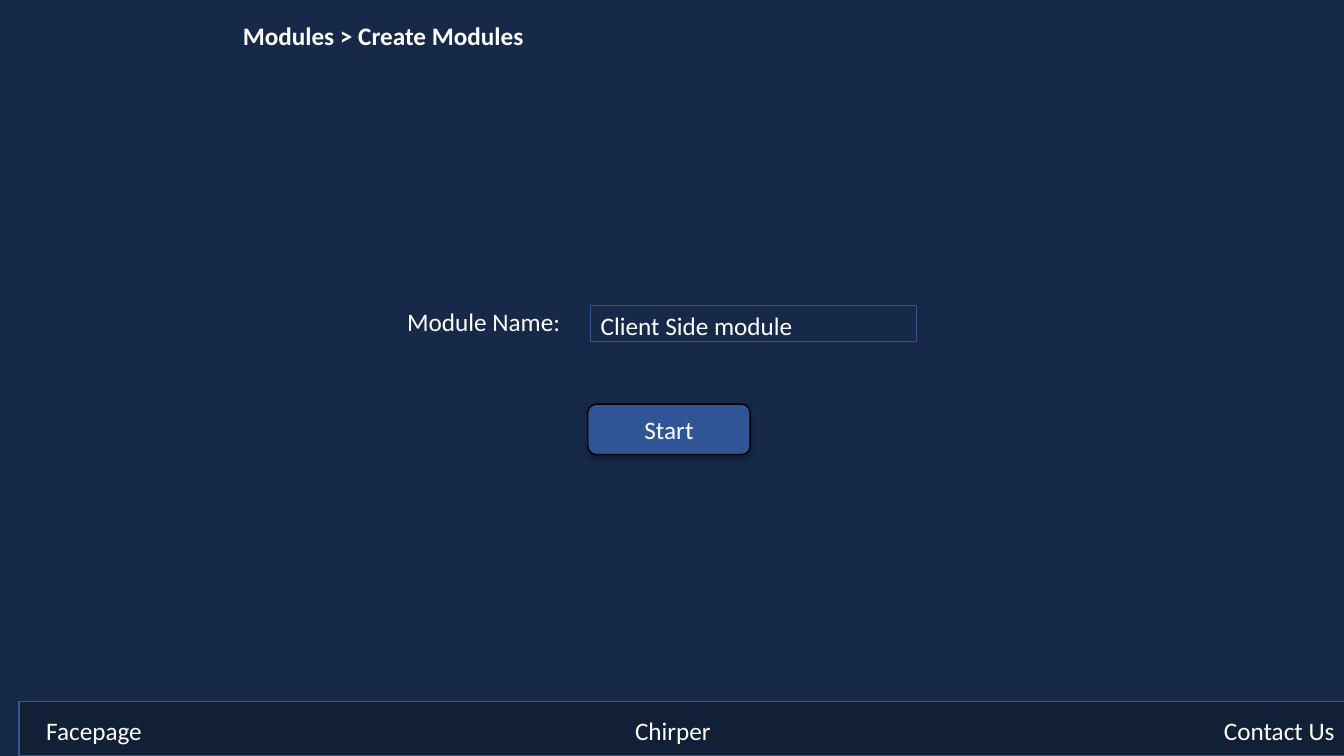
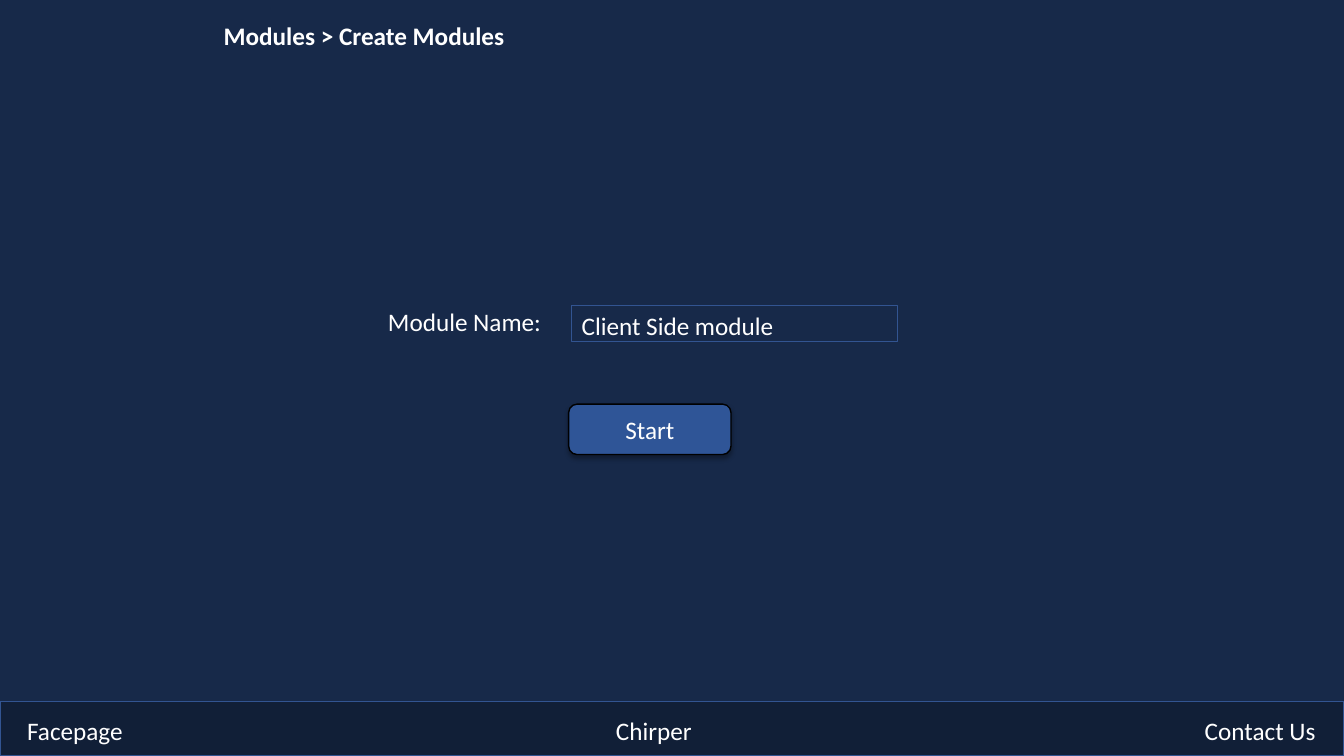
from dataclasses import dataclass

from lxml.etree import SubElement
from pptx import Presentation
from pptx.dml.color import RGBColor
from pptx.enum.shapes import MSO_SHAPE as Shape
from pptx.enum.text import MSO_ANCHOR as Anchor, MSO_AUTO_SIZE as AutoSize, PP_ALIGN as Align
from pptx.oxml.ns import qn
from pptx.shapes.autoshape import Shape as AutoShape
from pptx.shapes.shapetree import GroupShapes, SlideShapes
from pptx.slide import Slide
from pptx.util import Inches, Pt

Shapes = SlideShapes | GroupShapes

FONT = "Calibri"
TEXT_SIZE = 18
WHITE = "FFFFFF"
BLACK = "000000"
NAVY = "172949"
DARK_NAVY = "111F37"
BORDER_BLUE = "325491"
BUTTON_BLUE = "2F5597"

SLIDE_WIDTH = 13.33
SLIDE_HEIGHT = 7.5
FOOTER_HEIGHT = 0.54
FOOTER_LABELS = ("Facepage", "Chirper", "Contact Us")
FOOTER_STEP = 5.84
SLIDE_OFFSETS = (0.19, 0)


@dataclass(frozen=True)
class Area:
    left: float
    top: float
    width: float
    height: float

    def lengths(self, offset: float) -> tuple[Inches, Inches, Inches, Inches]:
        return (Inches(self.left + offset), Inches(self.top),
                Inches(self.width), Inches(self.height))


@dataclass(frozen=True)
class Label:
    text: str
    area: Area
    bold: bool = False
    anchor: Anchor = Anchor.TOP


FOOTER_BAND = Area(0, SLIDE_HEIGHT - FOOTER_HEIGHT, SLIDE_WIDTH, FOOTER_HEIGHT)
FOOTER_LINKS = [
    Label(text, Area(0.17 + index * FOOTER_STEP, 7.05, 1.31, 0.4))
    for index, text in enumerate(FOOTER_LABELS)
]
BREADCRUMB = Label("Modules > Create Modules", Area(2.12, 0.15, 4.1, 0.4), bold=True)
NAME_LABEL = Label("Module Name:", Area(3.75, 2.99, 2.26, 0.4), anchor=Anchor.MIDDLE)
NAME_FIELD = Area(5.67, 3.03, 3.23, 0.36)
NAME_VALUE = Label("Client Side module", Area(5.67, 3.03, 2.12, 0.4))
START_BUTTON = Area(5.64, 4.01, 1.61, 0.5)


def color(value: str) -> RGBColor:
    return RGBColor.from_string(value)


def write(box: AutoShape, text: str, bold: bool = False,
          align: Align = Align.LEFT, anchor: Anchor = Anchor.TOP) -> None:
    frame = box.text_frame
    frame.word_wrap = True
    frame.vertical_anchor = anchor
    para = frame.paragraphs[0]
    para.alignment = align
    span = para.add_run()
    span.text = text
    span.font.name = FONT
    span.font.size = Pt(TEXT_SIZE)
    span.font.bold = bold
    span.font.color.rgb = color(WHITE)


def add_label(shapes: Shapes, label: Label, offset: float) -> None:
    box = shapes.add_textbox(*label.area.lengths(offset))
    write(box, label.text, bold=label.bold, anchor=label.anchor)
    box.text_frame.auto_size = AutoSize.SHAPE_TO_FIT_TEXT


def add_panel(shapes: Shapes, area: Area, offset: float, line: str,
              fill: str | None = None, kind: Shape = Shape.RECTANGLE) -> AutoShape:
    panel = shapes.add_shape(kind, *area.lengths(offset))
    panel.shadow.inherit = False
    if fill is None:
        panel.fill.background()
    else:
        panel.fill.solid()
        panel.fill.fore_color.rgb = color(fill)
    panel.line.color.rgb = color(line)
    panel.line.width = Pt(1)
    return panel


def add_drop_shadow(panel: AutoShape) -> None:
    effects = panel.element.spPr.find(qn("a:effectLst"))
    shadow = SubElement(effects, qn("a:outerShdw"), blurRad=str(Pt(3.5)),
                        dist=str(Pt(2.2)), dir="5400000", algn="ctr", rotWithShape="0")
    tint = SubElement(shadow, qn("a:srgbClr"), val=BLACK)
    SubElement(tint, qn("a:alpha"), val="32000")


def add_footer(page: Slide, offset: float) -> None:
    add_panel(page.shapes, FOOTER_BAND, offset, BORDER_BLUE, DARK_NAVY)
    for link in FOOTER_LINKS:
        add_label(page.shapes, link, offset)


def add_module_form(page: Slide, offset: float) -> None:
    shapes = page.shapes.add_group_shape().shapes
    add_label(shapes, NAME_LABEL, offset)
    add_panel(shapes, NAME_FIELD, offset, BORDER_BLUE)
    button = add_panel(shapes, START_BUTTON, offset, BLACK, BUTTON_BLUE,
                       Shape.ROUNDED_RECTANGLE)
    add_drop_shadow(button)
    write(button, "Start", align=Align.CENTER, anchor=Anchor.MIDDLE)
    add_label(shapes, NAME_VALUE, offset)


def main() -> None:
    deck = Presentation()
    deck.slide_width = Inches(SLIDE_WIDTH)
    deck.slide_height = Inches(SLIDE_HEIGHT)
    backdrop = deck.slide_master.background.fill
    backdrop.solid()
    backdrop.fore_color.rgb = color(NAVY)
    for offset in SLIDE_OFFSETS:
        page = deck.slides.add_slide(deck.slide_layouts[6])
        add_footer(page, offset)
        add_label(page.shapes, BREADCRUMB, offset)
        add_module_form(page, offset)
    deck.save("out.pptx")


if __name__ == "__main__":
    main()
